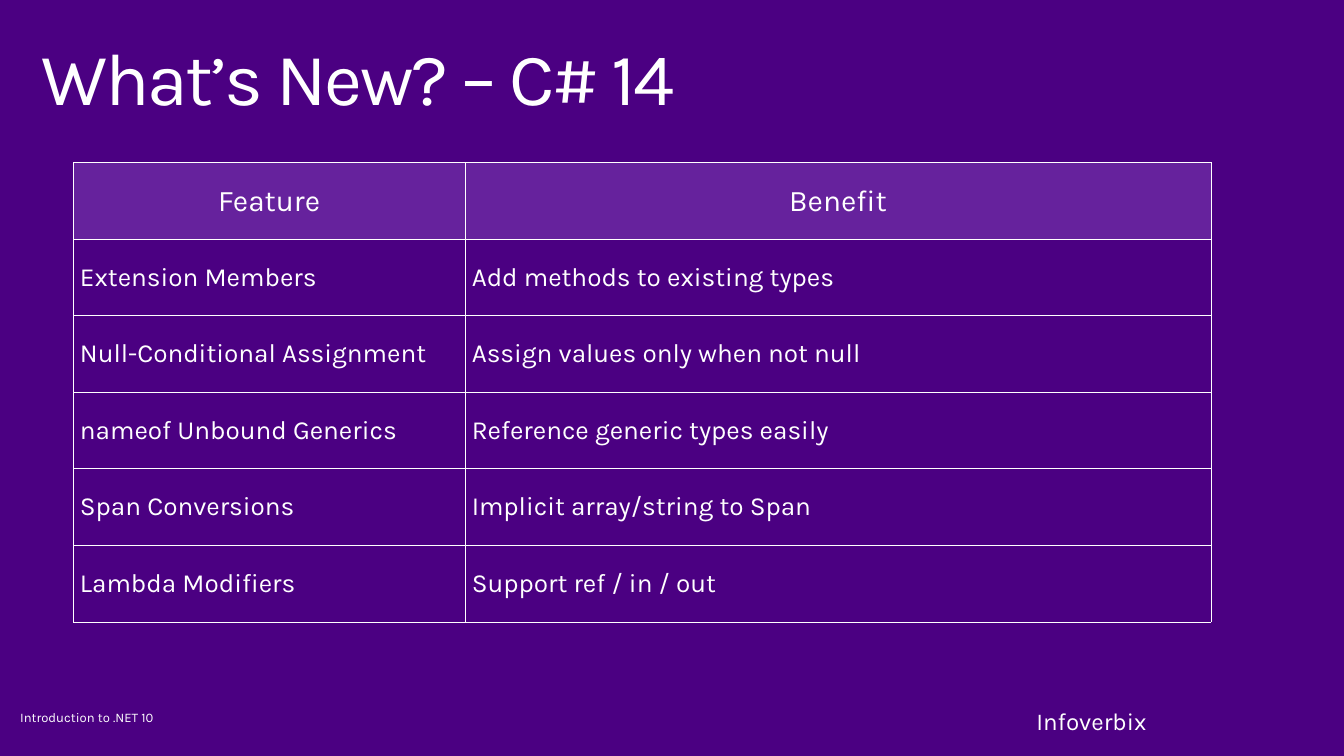
from lxml.etree import SubElement
from pptx import Presentation
from pptx.dml.color import RGBColor
from pptx.enum.text import MSO_ANCHOR, MSO_AUTO_SIZE, PP_ALIGN
from pptx.oxml import parse_xml
from pptx.oxml.ns import nsdecls, qn
from pptx.util import Pt

# Content
TITLE = "What’s New? – C# 14"
HEADINGS = ("Feature", "Benefit")
FEATURES = [
    ("Extension Members", "Add methods to existing types"),
    ("Null-Conditional Assignment", "Assign values only when not null"),
    ("nameof Unbound Generics", "Reference generic types easily"),
    ("Span Conversions", "Implicit array/string to Span"),
    ("Lambda Modifiers", "Support ref / in / out"),
]
# Text, left, top, width, height, size, line spacing, alignment
FOOTERS = [
    ("Introduction to .NET 10", 21.6, 759.6, 147, 17.5, 14, 17.5, PP_ALIGN.LEFT),
    ("Infoverbix", 1107.4, 757.4, 124, 31, 25.9, 31, PP_ALIGN.CENTER),
]

# Look
FONT = "Karla"
INDIGO = RGBColor(0x4B, 0x00, 0x82)
VIOLET = RGBColor(0x66, 0x22, 0x9D)
WHITE = RGBColor(0xFF, 0xFF, 0xFF)
TABLE_LEFT, TABLE_TOP = 78.5, 174.2
COLUMN_WIDTHS = (419.8, 799.2)
ROW_HEIGHT = 82
CELL_MARGIN = 7.2
BORDER_WIDTH = 0.37


def write(frame, text, size, spacing, alignment):
    para = frame.paragraphs[0]
    para.alignment = alignment
    para.line_spacing = Pt(spacing)
    span = para.add_run()
    span.text = text
    font = span.font
    font.name, font.size, font.bold = FONT, Pt(size), False
    font.color.rgb = WHITE
    return span


def prepare_frame(frame):
    frame.margin_left = frame.margin_top = frame.margin_right = frame.margin_bottom = 0
    frame.vertical_anchor = MSO_ANCHOR.TOP
    frame.word_wrap = True
    frame.auto_size = MSO_AUTO_SIZE.NONE


def draw_borders(cell):
    properties = cell._tc.get_or_add_tcPr()
    for index, side in enumerate(("lnL", "lnR", "lnT", "lnB")):
        line = parse_xml(f'<a:{side} {nsdecls("a")} w="{Pt(BORDER_WIDTH)}"/>')
        fill = SubElement(line, qn("a:solidFill"))
        SubElement(fill, qn("a:srgbClr"), val=str(WHITE))
        properties.insert(index, line)


def add_title(slide):
    title = slide.shapes.title
    title.left, title.top, title.width, title.height = Pt(44.6), Pt(49.7), Pt(734.4), Pt(83.5)
    prepare_frame(title.text_frame)
    span = write(title.text_frame, TITLE, 79.1, 79.1, PP_ALIGN.LEFT)
    span.font._element.set("spc", "-240")


def add_feature_table(slide):
    rows = [HEADINGS, *FEATURES]
    table = slide.shapes.add_table(
        len(rows), len(HEADINGS), Pt(TABLE_LEFT), Pt(TABLE_TOP),
        Pt(sum(COLUMN_WIDTHS)), Pt(ROW_HEIGHT * len(rows))).table
    table.first_row = table.horz_banding = False
    for column, width in zip(table.columns, COLUMN_WIDTHS):
        column.width = Pt(width)
    for row_index, texts in enumerate(rows):
        table.rows[row_index].height = Pt(ROW_HEIGHT)
        for column_index, text in enumerate(texts):
            cell = table.cell(row_index, column_index)
            cell.vertical_anchor = MSO_ANCHOR.MIDDLE
            cell.margin_left = cell.margin_right = Pt(CELL_MARGIN)
            cell.margin_top = cell.margin_bottom = Pt(CELL_MARGIN)
            if row_index == 0:
                cell.fill.solid()
                cell.fill.fore_color.rgb = VIOLET
                write(cell.text_frame, text, 32, 38.4, PP_ALIGN.CENTER)
            else:
                cell.fill.background()
                write(cell.text_frame, text, 28, 33.6, PP_ALIGN.LEFT)
            draw_borders(cell)


def main():
    deck = Presentation()
    deck.slide_width, deck.slide_height = Pt(1440), Pt(810)
    slide = deck.slides.add_slide(deck.slide_layouts[5])
    slide.background.fill.solid()
    slide.background.fill.fore_color.rgb = INDIGO

    add_title(slide)
    add_feature_table(slide)

    # Footer labels
    for text, left, top, width, height, size, spacing, alignment in FOOTERS:
        box = slide.shapes.add_textbox(Pt(left), Pt(top), Pt(width), Pt(height))
        prepare_frame(box.text_frame)
        write(box.text_frame, text, size, spacing, alignment)

    deck.save("out.pptx")


if __name__ == "__main__":
    main()
